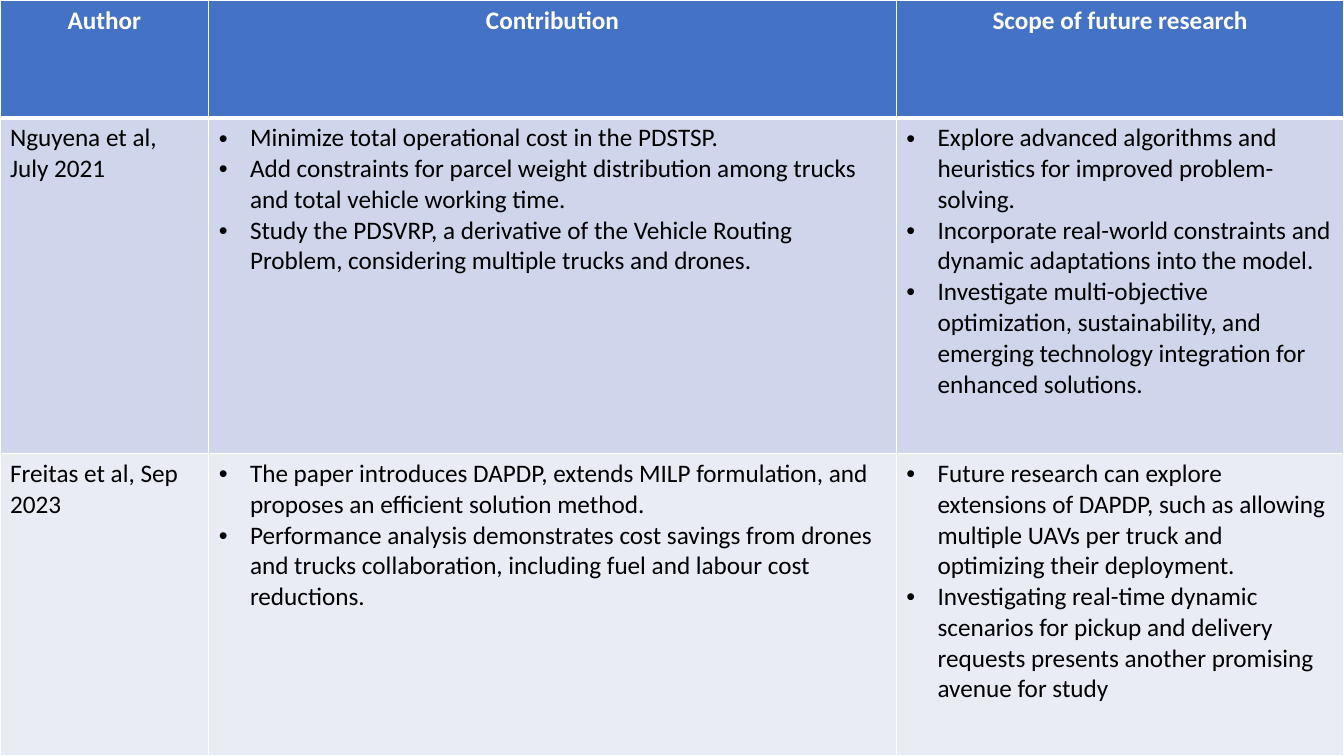
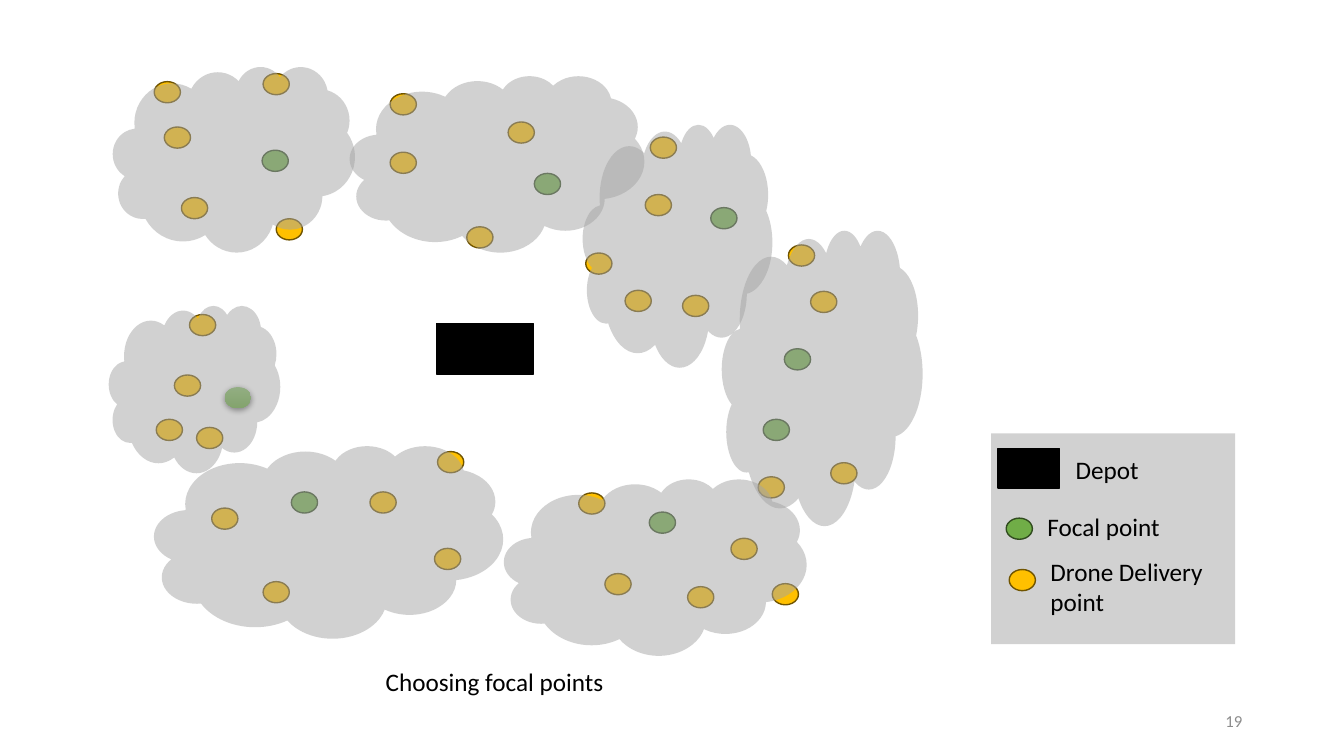
from dataclasses import dataclass

from lxml.etree import SubElement
from pptx import Presentation
from pptx.dml.color import RGBColor
from pptx.enum.shapes import MSO_SHAPE
from pptx.enum.text import MSO_ANCHOR, PP_ALIGN
from pptx.oxml.ns import qn
from pptx.util import Inches, Pt


@dataclass(frozen=True)
class Theme:
    font: str = "Calibri"
    body: int = 18
    footer: int = 12
    ink: str = "000000"
    white: str = "FFFFFF"
    muted: str = "8C8C8C"
    header: str = "4472C4"
    bands: tuple = ("CFD5EA", "E9EBF5")
    focal: str = "70AD47"
    focal_line: str = "314C1F"
    focal_light: str = "81B861"
    focal_dark: str = "62A336"
    delivery: str = "FFC000"
    delivery_line: str = "705400"
    haze: str = "A5A5A5"
    haze_alpha: int = 50


@dataclass(frozen=True)
class Box:
    left: float
    top: float
    width: float
    height: float

    def inner(self, left, top, width, height):
        return Box(self.left + left, self.top + top, width, height)

    def lengths(self):
        return [Inches(v) for v in (self.left, self.top, self.width, self.height)]


@dataclass(frozen=True)
class Zone:
    place: tuple
    deliveries: tuple
    focals: tuple = ()
    raised_focals: tuple = ()


THEME = Theme()
SLIDE = Box(0, 0, 13.33, 7.5)
DOT_SIZE = (0.26, 0.21)
BULLET_INDENT = Inches(0.31)

COLUMN_WIDTHS = (2.07, 6.82, 4.44)
ROW_HEIGHTS = (1.17, 3.33, 3)
HEADINGS = ("Author", "Contribution", "Scope of future research")
STUDIES = (
    (
        "Nguyena et al, July 2021",
        (
            "Minimize total operational cost in the PDSTSP.",
            "Add constraints for parcel weight distribution among trucks and total vehicle working time.",
            "Study the PDSVRP, a derivative of the Vehicle Routing Problem, considering multiple trucks and drones.",
        ),
        (
            "Explore advanced algorithms and heuristics for improved problem-solving.",
            "Incorporate real-world constraints and dynamic adaptations into the model.",
            "Investigate multi-objective optimization, sustainability, and emerging technology integration for enhanced solutions.",
        ),
    ),
    (
        "Freitas et al, Sep 2023",
        (
            "The paper introduces DAPDP, extends MILP formulation, and proposes an efficient solution method.",
            "Performance analysis demonstrates cost savings from drones and trucks collaboration, including fuel and labour cost reductions.",
        ),
        (
            "Future research can explore extensions of DAPDP, such as allowing multiple UAVs per truck and optimizing their deployment.",
            "Investigating real-time dynamic scenarios for pickup and delivery requests presents another promising avenue for study",
        ),
    ),
)

ZONES = (
    Zone((0.04, 0, 2.4, 1.84),
         ((0.41, 0.15), (1.49, 0.07), (1.62, 1.51), (0.51, 0.6), (0.68, 1.3)),
         ((1.48, 0.83),)),
    Zone((2.39, 0.09, 2.92, 1.75),
         ((0.4, 0.18), (1.57, 0.46), (0.4, 0.76), (1.16, 1.5)),
         ((1.83, 0.97),)),
    Zone((4.7, 0.57, 1.88, 2.41),
         ((0.03, 1.28), (0.99, 1.7), (0.67, 0.13), (0.42, 1.65), (0.62, 0.7)),
         ((1.27, 0.83),)),
    Zone((0.45, 3.76, 3.46, 1.91),
         ((0.57, 0.62), (2.78, 1.02), (2.14, 0.46), (2.81, 0.06), (1.08, 1.35)),
         ((1.36, 0.46),)),
    Zone((6.08, 1.62, 1.99, 2.93),
         ((0.88, 0.61), (1.08, 2.31), (0.66, 0.15), (0.36, 2.45)),
         ((0.41, 1.88), (0.62, 1.18))),
    Zone((3.92, 4.09, 3, 1.75),
         ((0.74, 0.14), (2.25, 0.59), (2.66, 1.04), (1, 0.94), (1.82, 1.07)),
         ((1.44, 0.33),)),
    Zone((0, 2.37, 1.7, 1.66),
         ((0.47, 1.13), (0.65, 0.69), (0.8, 0.09), (0.87, 1.21)),
         raised_focals=((1.15, 0.81),)),
)


def rgb(color):
    return RGBColor.from_string(color)


def add_span(para, text, color=THEME.ink, size=THEME.body, bold=False):
    span = para.add_run()
    span.text = text
    font = span.font
    font.name = THEME.font
    font.size = Pt(size)
    font.bold = bold
    font.color.rgb = rgb(color)


def add_label(page, box, text, align=PP_ALIGN.LEFT, anchor=MSO_ANCHOR.TOP, **style):
    frame = page.shapes.add_textbox(*box.lengths()).text_frame
    frame.word_wrap = True
    frame.vertical_anchor = anchor
    para = frame.paragraphs[0]
    para.alignment = align
    add_span(para, text, **style)


def add_block(page, kind, box, fill, line=None, alpha=None):
    block = page.shapes.add_shape(kind, *box.lengths())
    block.shadow.inherit = False
    block.fill.solid()
    block.fill.fore_color.rgb = rgb(fill)
    if alpha is not None:
        color = block.fill._xPr.find(qn("a:solidFill"))[0]
        SubElement(color, qn("a:alpha"), val=str(alpha * 1000))
    if line is None:
        block.line.fill.background()
    else:
        block.line.color.rgb = rgb(line)
        block.line.width = Pt(1)
    return block


def add_haze(page, kind, box):
    add_block(page, kind, box, THEME.haze, alpha=THEME.haze_alpha)


def add_depot(page, box):
    add_block(page, MSO_SHAPE.RECTANGLE, box, THEME.ink, THEME.ink)


def add_delivery(page, box):
    add_block(page, MSO_SHAPE.OVAL, box, THEME.delivery, THEME.delivery_line)


def add_focal(page, box):
    add_block(page, MSO_SHAPE.OVAL, box, THEME.focal, THEME.focal_line)


def add_raised_focal(page, box):
    dot = add_block(page, MSO_SHAPE.OVAL, box, THEME.focal)
    dot.fill.gradient()
    dot.fill.gradient_angle = 270
    for stop, color in zip(dot.fill.gradient_stops, (THEME.focal_light, THEME.focal_dark)):
        stop.color.rgb = rgb(color)
    effects = dot._element.spPr.find(qn("a:effectLst"))
    shadow = SubElement(effects, qn("a:outerShdw"), blurRad=str(Pt(4.5)),
                        dist=str(Pt(1.5)), dir="5400000", algn="ctr", rotWithShape="0")
    color = SubElement(shadow, qn("a:srgbClr"), val=THEME.ink)
    SubElement(color, qn("a:alpha"), val="63000")


def set_borders(cell, top=1, bottom=1):
    properties = cell._tc.get_or_add_tcPr()
    for side, width in (("L", 1), ("R", 1), ("T", top), ("B", bottom)):
        line = SubElement(properties, qn(f"a:ln{side}"), w=str(Pt(width)))
        fill = SubElement(line, qn("a:solidFill"))
        SubElement(fill, qn("a:srgbClr"), val=THEME.white)


def set_bullet(para):
    properties = para._p.get_or_add_pPr()
    properties.set("marL", str(BULLET_INDENT))
    properties.set("indent", str(-BULLET_INDENT))
    SubElement(properties, qn("a:buFont"), typeface="Arial")
    SubElement(properties, qn("a:buChar"), char="•")


def fill_cell(cell, texts, fill, top=1, bottom=1, bullets=False, align=PP_ALIGN.LEFT, **style):
    set_borders(cell, top, bottom)
    cell.fill.solid()
    cell.fill.fore_color.rgb = rgb(fill)
    frame = cell.text_frame
    for index, text in enumerate(texts):
        para = frame.add_paragraph() if index else frame.paragraphs[0]
        para.alignment = align
        if bullets:
            set_bullet(para)
        add_span(para, text, **style)


def add_study_table(page, box):
    table = page.shapes.add_table(len(ROW_HEIGHTS), len(COLUMN_WIDTHS), *box.lengths()).table
    for column, width in zip(table.columns, COLUMN_WIDTHS):
        column.width = Inches(width)
    for row, height in zip(table.rows, ROW_HEIGHTS):
        row.height = Inches(height)
    for column, heading in enumerate(HEADINGS):
        fill_cell(table.cell(0, column), [heading], THEME.header, bottom=3,
                  align=PP_ALIGN.CENTER, color=THEME.white, bold=True)
    for row, (author, *lists) in enumerate(STUDIES, 1):
        band = THEME.bands[row - 1]
        top = 3 if row == 1 else 1
        fill_cell(table.cell(row, 0), [author], band, top)
        for column, items in enumerate(lists, 1):
            fill_cell(table.cell(row, column), items, band, top, bullets=True)


def add_zone_map(page, box):
    add_depot(page, box.inner(3.25, 2.55, 0.96, 0.5))
    clouds = [box.inner(*zone.place) for zone in ZONES]
    for zone, cloud in zip(ZONES, clouds):
        for draw, spots in ((add_delivery, zone.deliveries), (add_focal, zone.focals),
                            (add_raised_focal, zone.raised_focals)):
            for spot in spots:
                draw(page, cloud.inner(*spot, *DOT_SIZE))
    for cloud in clouds:
        add_haze(page, MSO_SHAPE.CLOUD, cloud)


def add_legend(page, box):
    add_haze(page, MSO_SHAPE.RECTANGLE, box)
    entries = (
        (add_depot, (0.07, 0.15, 0.61, 0.39), "Depot", (0.74, 0.16, 1.54, 0.34)),
        (add_focal, (0.15, 0.84, *DOT_SIZE), "Focal point", (0.46, 0.72, 1.92, 0.4)),
        (add_delivery, (0.18, 1.35, *DOT_SIZE), "Drone Delivery point", (0.49, 1.17, 1.74, 0.71)),
    )
    for draw, mark, text, label in entries:
        draw(page, box.inner(*mark))
        add_label(page, box.inner(*label), text)


def add_page_number(page, box, number):
    add_label(page, box.inner(9.42, 6.95, 3, 0.4), str(number), PP_ALIGN.RIGHT,
              MSO_ANCHOR.MIDDLE, color=THEME.muted, size=THEME.footer)


def build_study_page(page, box):
    add_study_table(page, box)


def build_focal_page(page, box):
    add_zone_map(page, box.inner(1.08, 0.66, 8.07, 5.84))
    add_legend(page, box.inner(9.83, 4.3, 2.42, 2.09))
    add_label(page, box.inner(1.44, 6.56, 6.93, 0.34), "Choosing focal points", PP_ALIGN.CENTER)
    add_page_number(page, box, 19)


def main():
    deck = Presentation()
    deck.slide_width = Inches(SLIDE.width)
    deck.slide_height = Inches(SLIDE.height)
    for build in (build_study_page, build_focal_page):
        build(deck.slides.add_slide(deck.slide_layouts[6]), SLIDE)
    deck.save("out.pptx")


if __name__ == "__main__":
    main()
